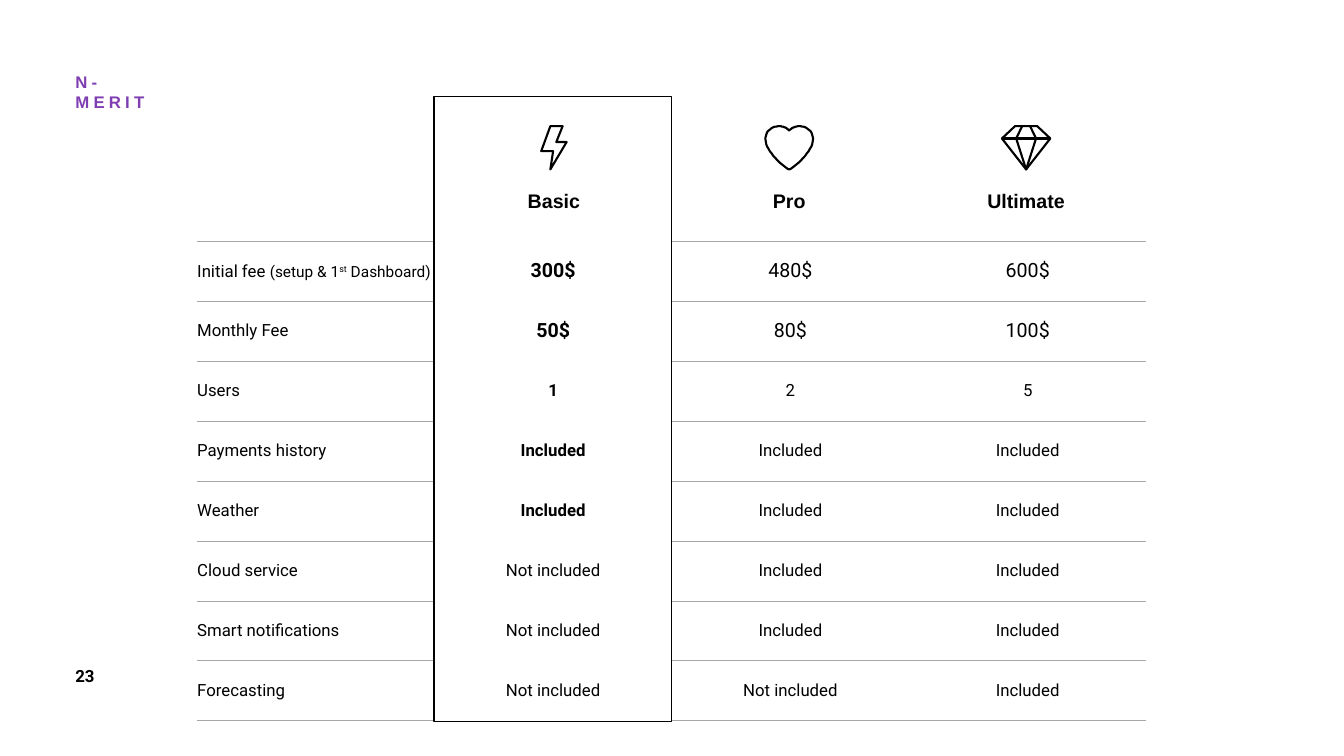
"""Build the pricing plan comparison slide."""
import pptx
import pptx.dml.color
import pptx.enum.shapes
import pptx.enum.text
import pptx.util
from lxml import etree
from pptx.oxml.ns import qn

Cm, Pt = pptx.util.Cm, pptx.util.Pt
ALIGN, ANCHOR = pptx.enum.text.PP_ALIGN, pptx.enum.text.MSO_ANCHOR
COLORS = {"ink": "000000", "rule": "A6A6A6", "paper": "FFFFFF",
          "violet": "7F3EB2", "pink": "FF5988"}

FEATURES = [
    ("Initial fee ", "300$", "480$", "600$"),
    ("Monthly Fee", "50$", "80$", "100$"),
    ("Users", "1", "2", "5"),
    ("Payments history", "Included", "Included", "Included"),
    ("Weather", "Included", "Included", "Included"),
    ("Cloud service", "Not included", "Included", "Included"),
    ("Smart notifications", "Not included", "Included", "Included"),
    ("Forecasting", "Not included", "Not included", "Included"),
]
FEE_NOTE = [("(setup & 1", 0), ("st", 30000), (" Dashboard)", 0)]


def rgb(name):
    """Return the named palette colour."""
    return pptx.dml.color.RGBColor.from_string(COLORS[name])


def bezier(start, first, second, end, steps=16):
    """Return points along a cubic curve, without its start."""
    return [tuple((1 - t) ** 3 * a + 3 * t * (1 - t) ** 2 * b
                  + 3 * t * t * (1 - t) * c + t ** 3 * d
                  for a, b, c, d in zip(start, first, second, end))
            for t in (step / steps for step in range(1, steps + 1))]


def heart_outline():
    """Return the heart as a right half and its mirror."""
    right = [(0, 14)]
    for bend in (((5, 8), (15, 3), (25, 3)),
                 ((43, 3), (60, 15), (60, 36)),
                 ((60, 66), (13, 107), (0, 112))):
        right += bezier(right[-1], *bend)
    return right + [(-x, y) for x, y in right[-2:0:-1]]


BOLT = [([(-9, 3), (22, 3), (6, 43), (32, 43), (-9, 112), (-2, 66), (-32, 66)], True)]
HEART = [(heart_outline(), True)]
GEM = [([(-28, 3), (28, 3), (61, 34), (0, 112), (-61, 34)], True),
       ([(-61, 34), (61, 34)], False),
       ([(-10, 3), (-25, 34), (0, 112), (25, 34), (10, 3)], False)]
PLANS = [("Basic", 13.96, BOLT), ("Pro", 19.89, HEART), ("Ultimate", 25.86, GEM)]


class PricingSlide:
    """Hold the slide and its style, and draw each kind of element."""

    def __init__(self, deck):
        """Add a title-only slide to the deck."""
        self.body_font, self.head_font = "Roboto", "Arial"
        self.slide = deck.slides.add_slide(deck.slide_layouts[5])
        self.shapes = self.slide.shapes

    def run(self, paragraph, words, size=12, bold=False, font=None):
        """Add one styled run and return it."""
        piece = paragraph.add_run()
        piece.text = words
        piece.font.name = font or self.body_font
        piece.font.size, piece.font.bold = Pt(size), bold
        piece.font.color.rgb = rgb("ink")
        return piece

    def title(self, words, left, top, width, height):
        """Place the letter-spaced gradient title."""
        heading = self.shapes.title
        heading.left, heading.top = Cm(left), Cm(top)
        heading.width, heading.height = Cm(width), Cm(height)
        frame = heading.text_frame
        frame.auto_size = pptx.enum.text.MSO_AUTO_SIZE.NONE
        frame.word_wrap, frame.vertical_anchor = True, ANCHOR.TOP
        frame.margin_left = frame.margin_right = 0
        frame.margin_top = frame.margin_bottom = Cm(0.13)
        paragraph = frame.paragraphs[0]
        paragraph.alignment, paragraph.line_spacing = ALIGN.LEFT, 1.0
        piece = self.run(paragraph, words, bold=True, font=self.head_font)
        piece.font.fill.gradient()
        piece.font.fill.gradient_angle = 315
        for stop, name in zip(piece.font.fill.gradient_stops, ("violet", "pink")):
            stop.color.rgb = rgb(name)
        piece._r.get_or_add_rPr().set("spc", "300")

    def page_number(self, words, left, top, width, height):
        """Write the page number."""
        frame = self.shapes.add_textbox(Cm(left), Cm(top), Cm(width), Cm(height)).text_frame
        self.run(frame.paragraphs[0], words, bold=True)

    def plan_name(self, words, center, top, width=3.73, height=0.71):
        """Write a centred plan name."""
        frame = self.shapes.add_textbox(
            Cm(center - width / 2), Cm(top), Cm(width), Cm(height)).text_frame
        frame.word_wrap = True
        frame.margin_left = frame.margin_right = 0
        frame.margin_top = frame.margin_bottom = 0
        paragraph = frame.paragraphs[0]
        paragraph.alignment, paragraph.line_spacing = ALIGN.CENTER, 1.2
        self.run(paragraph, words, 14, True, self.head_font)

    def outline(self, shape, weight):
        """Give a shape a black line and no fill."""
        shape.shadow.inherit = False
        shape.fill.background()
        shape.line.color.rgb, shape.line.width = rgb("ink"), Pt(weight)

    def icon(self, strokes, center, top):
        """Draw a line icon from strokes given in tenths of a millimetre."""
        builder = self.shapes.build_freeform(*strokes[0][0][0], scale=Cm(0.01))
        for index, (points, closed) in enumerate(strokes):
            if index:
                builder.move_to(*points[0])
            builder.add_line_segments(points[1:], close=closed)
        self.outline(builder.convert_to_shape(Cm(center), Cm(top)), 1.5)

    def frame(self, left, top, width, height):
        """Frame the highlighted plan."""
        self.outline(self.shapes.add_shape(
            pptx.enum.shapes.MSO_SHAPE.RECTANGLE,
            Cm(left), Cm(top), Cm(width), Cm(height)), 1)

    def borders(self, cell, name):
        """Rule a cell above and below, with open sides."""
        properties = cell._tc.get_or_add_tcPr()
        for side in ("L", "R", "T", "B"):
            line = etree.SubElement(properties, qn(f"a:ln{side}"), w=str(Pt(0.5)))
            if side in "LR":
                etree.SubElement(line, qn("a:noFill"))
            else:
                paint = etree.SubElement(line, qn("a:solidFill"))
                etree.SubElement(paint, qn("a:srgbClr"), val=COLORS[name])
        cell.fill.background()

    def feature_table(self, features, left, top, column, row):
        """Add the table of features by plan."""
        table = self.shapes.add_table(
            len(features), len(features[0]), Cm(left), Cm(top),
            Cm(column * len(features[0])), Cm(row * len(features))).table
        table.first_row = table.horz_banding = False
        for line in table.rows:
            line.height = Cm(row)
        for index, values in enumerate(features):
            for place, words in enumerate(values):
                table.columns[place].width = Cm(column)
                cell = table.cell(index, place)
                self.borders(cell, "paper" if place == 1 else "rule")
                cell.vertical_anchor = ANCHOR.MIDDLE
                paragraph = cell.text_frame.paragraphs[0]
                if place:
                    paragraph.alignment = ALIGN.CENTER
                else:
                    cell.margin_left = cell.margin_right = 0
                    cell.margin_top = cell.margin_bottom = 0
                self.run(paragraph, words, 14 if place and index < 2 else 12,
                         place == 1 and words != "Not included")
        fee = table.cell(0, 0).text_frame.paragraphs[0]
        for words, baseline in FEE_NOTE:
            note = self.run(fee, words, 11)
            if baseline:
                note._r.get_or_add_rPr().set("baseline", str(baseline))


def main():
    """Build and save the slide."""
    deck = pptx.Presentation()
    deck.slide_width, deck.slide_height = Cm(33.87), Cm(19.05)
    pricing = PricingSlide(deck)
    pricing.title("N-MERIT", 1.9, 1.68, 2.36, 1.2)
    pricing.page_number("23", 1.65, 16.64, 1.02, 0.76)
    pricing.feature_table(FEATURES, 4.97, 6.08, 5.98, 1.51)
    for name, center, strokes in PLANS:
        pricing.icon(strokes, center, 3.15)
        pricing.plan_name(name, center, 4.64)
    pricing.frame(10.94, 2.44, 5.99, 15.75)
    deck.save("out.pptx")


if __name__ == "__main__":
    main()
